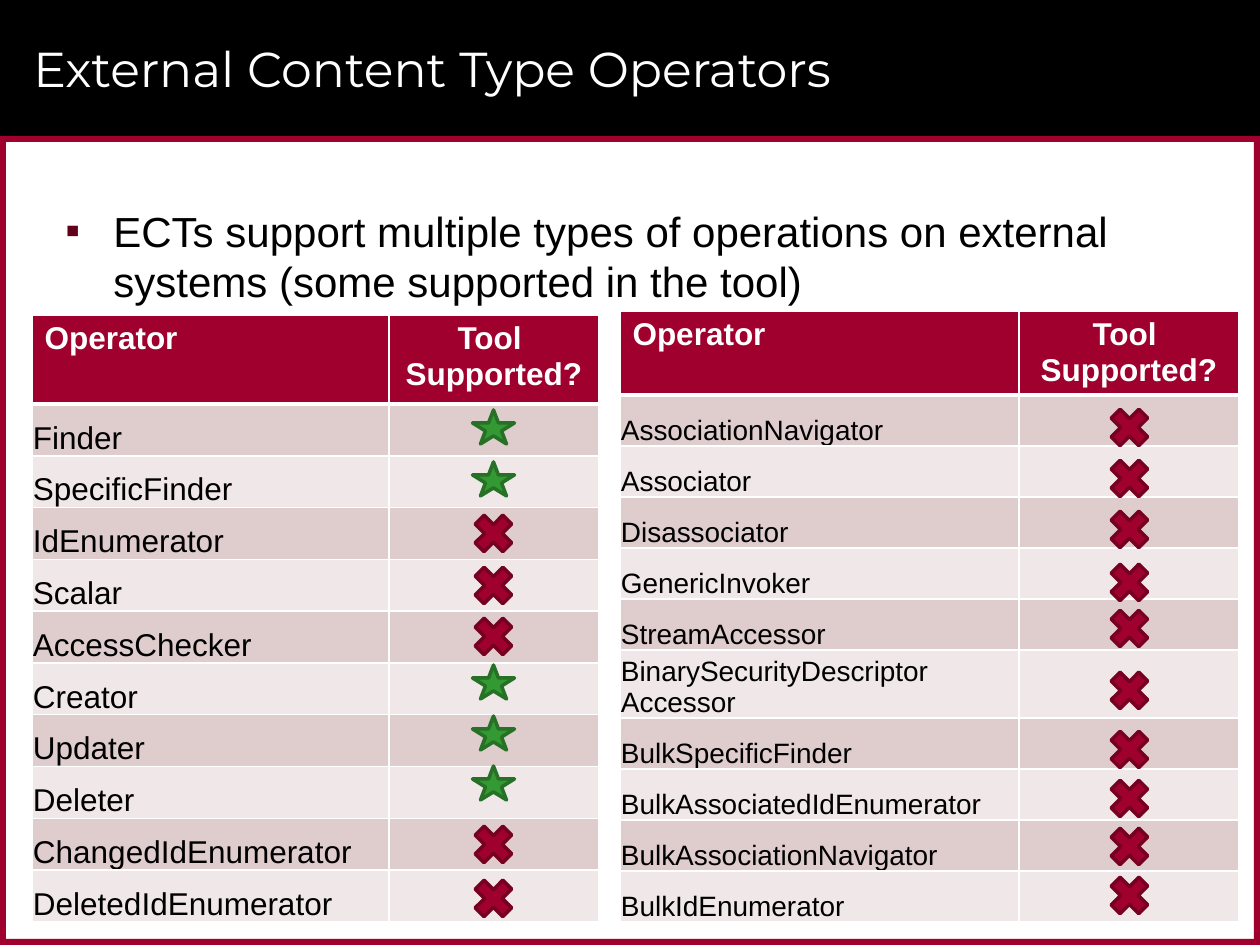
from lxml import etree
from pptx import Presentation
from pptx import util as u
from pptx.dml.color import RGBColor
from pptx.enum import shapes, text
from pptx.oxml.ns import qn

# Content: each table row is (operator, mark, top of mark in px)
TITLE = "External Content Type Operators"
BULLET = ("ECTs support multiple types of operations on external "
          "systems (some supported in the tool)")
HEADERS = (["Operator"], ["Tool ", "Supported?"])
TABLES = [
    {"left": 32, "top": 315, "columns": (357, 210), "header": 89, "row": 51.8,
     "size": 18, "center": 493.5,
     "rows": [("Finder", "star", 410), ("SpecificFinder", "star", 462),
              ("IdEnumerator", "cross", 507), ("Scalar", "cross", 559),
              ("AccessChecker", "cross", 610), ("Creator", "star", 665),
              ("Updater", "star", 716), ("Deleter", "star", 766),
              ("ChangedIdEnumerator", "cross", 818),
              ("DeletedIdEnumerator", "cross", 872)]},
    {"left": 620, "top": 311, "columns": (399, 220), "header": 84, "row": 51,
     "size": 16, "center": 1129.5,
     "rows": [("AssociationNavigator", "cross", 401),
              ("Associator", "cross", 452), ("Disassociator", "cross", 503),
              ("GenericInvoker", "cross", 556),
              ("StreamAccessor", "cross", 602),
              ("BinarySecurityDescriptor\nAccessor", "cross", 664),
              ("BulkSpecificFinder", "cross", 723),
              ("BulkAssociatedIdEnumerator", "cross", 772),
              ("BulkAssociationNavigator", "cross", 820),
              ("BulkIdEnumerator", "cross", 869)]},
]
TALL_ROW = 63  # row with a two-line name

COLORS = {"black": "000000", "white": "FFFFFF", "red": "9F002D",
          "dark_red": "760021", "bullet": "60001B", "green": "339933",
          "dark_green": "267126", "odd": "DFCCCD", "even": "F0E7E8"}
MARKS = {
    "star": (shapes.MSO_SHAPE.STAR_5_POINT, 42, 34, "green", "dark_green"),
    "cross": (shapes.MSO_SHAPE.MATH_MULTIPLY, 53, 53, "red", "dark_red"),
}
WIDTH, HEIGHT, BAR_TOP, BAR = 1260, 945, 136, 6


def px(value):
    return u.Emu(round(value * 914400 / 126))


def color(name):
    return RGBColor.from_string(COLORS[name])


def add_shape(kind, left, top, width, height, fill, line=None):
    shape = slide.shapes.add_shape(kind, px(left), px(top), px(width), px(height))
    shape.shadow.inherit = False
    shape.fill.solid()
    shape.fill.fore_color.rgb = color(fill)
    if line:
        shape.line.color.rgb = color(line)
        shape.line.width = u.Pt(2)
    else:
        shape.line.fill.background()


def add_text(paragraph, words, size, ink, font="Arial", bold=False):
    for index, line in enumerate(words.split("\n")):
        if index:
            paragraph.add_line_break()
            etree.SubElement(paragraph._p[-1], qn("a:rPr"), sz=str(size * 100))
        run = paragraph.add_run()
        run.text = line
        run.font.name, run.font.size, run.font.bold = font, u.Pt(size), bold
        run.font.color.rgb = color(ink)


def add_text_box(left, top, width, height, anchor):
    box = slide.shapes.add_textbox(px(left), px(top), px(width), px(height))
    frame = box.text_frame
    frame.word_wrap = True
    frame.vertical_anchor = anchor
    return frame.paragraphs[0]


def style_cell(cell, fill, top_width, bottom_width):
    cell.fill.solid()
    cell.fill.fore_color.rgb = color(fill)
    properties = cell._tc.get_or_add_tcPr()
    borders = (("lnL", 1), ("lnR", 1), ("lnT", top_width), ("lnB", bottom_width))
    for index, (tag, width) in enumerate(borders):
        border = etree.Element(qn("a:" + tag), w=str(u.Pt(width)))
        solid = etree.SubElement(border, qn("a:solidFill"))
        etree.SubElement(solid, qn("a:srgbClr"), val=COLORS["white"])
        properties.insert(index, border)


def add_operator_table(data):
    rows = data["rows"]
    heights = [data["header"]] + [
        TALL_ROW if "\n" in name else data["row"] for name, _, _ in rows]
    table = slide.shapes.add_table(
        len(heights), 2, px(data["left"]), px(data["top"]),
        px(sum(data["columns"])), px(sum(heights))).table
    table.horz_banding = False
    for column, width in zip(table.columns, data["columns"]):
        column.width = px(width)
    for row, height in zip(table.rows, heights):
        row.height = px(height)

    # Header row
    for index, lines in enumerate(HEADERS):
        cell = table.cell(0, index)
        style_cell(cell, "red", 1, 3)
        cell.margin_bottom = 0
        for number, line in enumerate(lines):
            frame = cell.text_frame
            paragraph = frame.add_paragraph() if number else frame.paragraphs[0]
            if index:
                paragraph.alignment = text.PP_ALIGN.CENTER
            add_text(paragraph, line, 18, "white", bold=True)

    # Operator rows and their marks
    for number, (name, mark, mark_top) in enumerate(rows, 1):
        for index in range(2):
            style_cell(table.cell(number, index), "odd" if number % 2 else "even",
                       3 if number == 1 else 1, 1)
        cell = table.cell(number, 0)
        cell.vertical_anchor = text.MSO_ANCHOR.BOTTOM
        cell.margin_left = cell.margin_right = cell.margin_top = px(1)
        cell.margin_bottom = 0
        add_text(cell.text_frame.paragraphs[0], name, data["size"], "black")
        kind, width, height, fill, line = MARKS[mark]
        add_shape(kind, data["center"] - width / 2, mark_top, width, height,
                  fill, line)


presentation = Presentation()
presentation.slide_width, presentation.slide_height = px(WIDTH), px(HEIGHT)
slide = presentation.slides.add_slide(presentation.slide_layouts[6])

# Title band and frame
side = HEIGHT - BAR_TOP
for left, top, width, height, fill in (
        (0, 0, WIDTH, BAR_TOP, "black"),
        (0, BAR_TOP, WIDTH, BAR, "red"),
        (0, HEIGHT - BAR, WIDTH, BAR, "red"),
        (WIDTH - BAR, BAR_TOP, BAR, side, "red"),
        (0, BAR_TOP, BAR, side, "red")):
    add_shape(shapes.MSO_SHAPE.RECTANGLE, left, top, width, height, fill)

# Title
title = add_text_box(21, 10, 1187, 116, text.MSO_ANCHOR.MIDDLE)
add_text(title, TITLE, 28, "white", "Montserrat")

# Bullet
bullet = add_text_box(53, 199, 1155, 714, text.MSO_ANCHOR.TOP)
bullet.space_after = u.Pt(2)
properties = bullet._p.get_or_add_pPr()
properties.set("marL", str(px(48)))
properties.set("indent", str(px(-48)))
bullet_color = etree.SubElement(properties, qn("a:buClr"))
etree.SubElement(bullet_color, qn("a:srgbClr"), val=COLORS["bullet"])
etree.SubElement(properties, qn("a:buFont"), typeface="Arial")
etree.SubElement(properties, qn("a:buChar"), char="▪")
add_text(bullet, BULLET, 24, "black")

# Operator tables
for operator_table in TABLES:
    add_operator_table(operator_table)

presentation.save("out.pptx")
